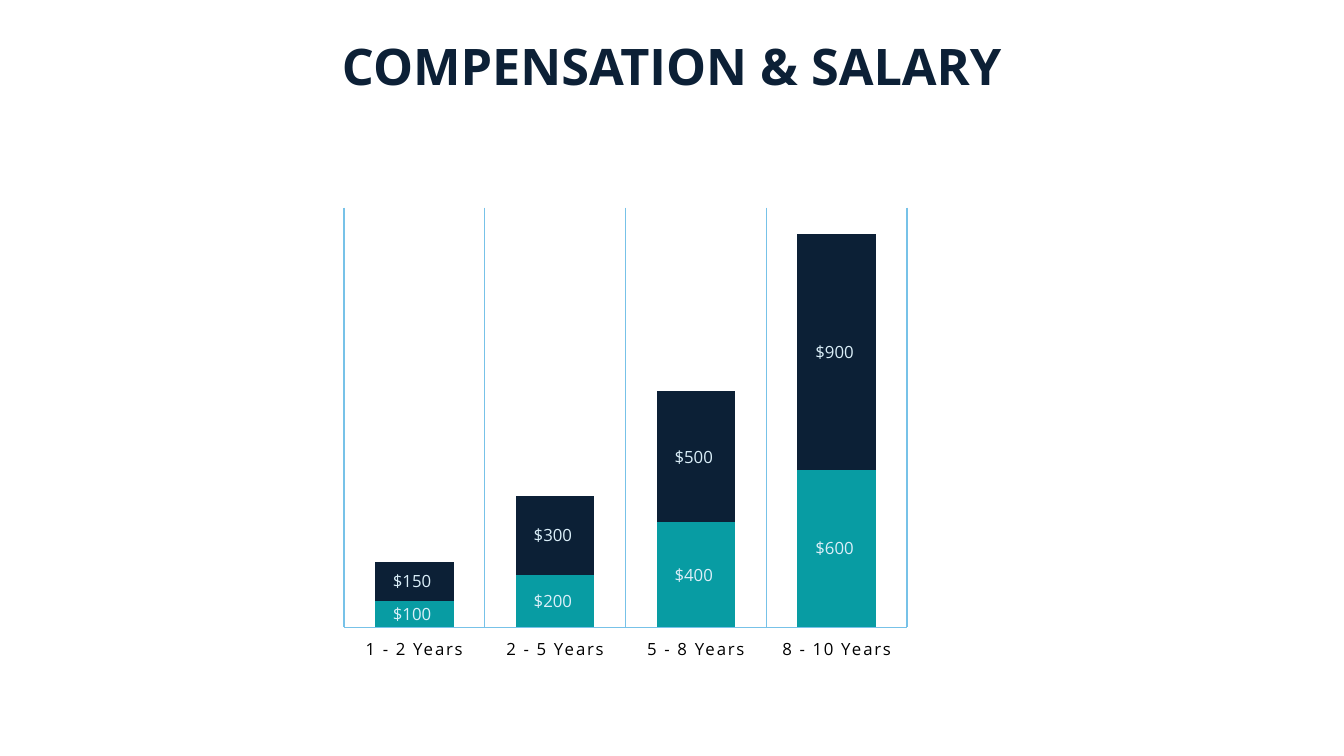
from dataclasses import dataclass

from lxml import etree
from pptx import Presentation
from pptx.chart.chart import Chart
from pptx.chart.data import CategoryChartData
from pptx.dml.color import RGBColor
from pptx.enum.chart import XL_CHART_TYPE, XL_LABEL_POSITION, XL_TICK_LABEL_POSITION, XL_TICK_MARK
from pptx.enum.text import MSO_ANCHOR, MSO_AUTO_SIZE, PP_ALIGN
from pptx.oxml import parse_xml
from pptx.oxml.ns import nsdecls, qn
from pptx.slide import Slide
from pptx.util import Emu, Pt

STACKED = XL_CHART_TYPE.COLUMN_STACKED
LABEL_CENTER = XL_LABEL_POSITION.CENTER
LABELS_LOW = XL_TICK_LABEL_POSITION.LOW
NO_TICKS = XL_TICK_MARK.NONE
TOP = MSO_ANCHOR.TOP
GROW = MSO_AUTO_SIZE.SHAPE_TO_FIT_TEXT
CENTER = PP_ALIGN.CENTER

EMU_PER_PX = 9525
FONT = "Open Sans"
NAVY, TEAL, SKY, PALE, BLACK = "0C2036", "089CA3", "77C2E8", "DBEFF9", "000000"
DOLLARS = r'"$"#,##0_);[Red]\("$"#,##0\)'
PLOT_AREA = {"x": 0.038, "y": 0, "w": 0.948, "h": 0.886}


@dataclass(frozen=True)
class Box:
    left: int
    top: int
    width: int
    height: int

    def emu(self) -> tuple[Emu, ...]:
        return tuple(px(value) for value in (self.left, self.top, self.width, self.height))


@dataclass(frozen=True)
class SalarySeries:
    name: str
    values: tuple[int, ...]
    fill: str


TITLE_BOX = Box(282, 29, 716, 68)
CHART_BOX = Box(306, 197, 566, 452)
CATEGORIES = ("1 - 2 Years", "2 - 5 Years", "5 - 8 Years", "8 - 10 Years")
SERIES = (
    SalarySeries("Series 1", (100, 200, 400, 600), TEAL),
    SalarySeries("Series 2", (150, 300, 500, 900), NAVY),
)


def px(value: int) -> Emu:
    return Emu(value * EMU_PER_PX)


def color(value: str) -> RGBColor:
    return RGBColor.from_string(value)


def set_format(target, values: dict) -> None:
    for name, value in values.items():
        setattr(target, name, value)


def set_font(font, size: int, fill: str, bold: bool = False) -> None:
    set_format(font, {"name": FONT, "size": Pt(size), "bold": bold})
    font.color.rgb = color(fill)


def set_line(line, width: float) -> None:
    line.color.rgb = color(SKY)
    line.width = Pt(width)


def add_title(slide: Slide, text: str) -> None:
    title = slide.shapes.title
    set_format(title, dict(zip(("left", "top", "width", "height"), TITLE_BOX.emu())))
    frame = title.text_frame
    frame.text = text
    set_format(frame, {"word_wrap": True, "auto_size": GROW, "vertical_anchor": TOP})
    paragraph = frame.paragraphs[0]
    set_format(paragraph, {"alignment": CENTER, "line_spacing": 1.0, "space_before": Pt(0)})
    set_font(paragraph.runs[0].font, 36, NAVY, bold=True)


def place_plot_area(chart: Chart) -> None:
    plot_area = chart.element.find(".//" + qn("c:plotArea"))
    for layout in plot_area.findall(qn("c:layout")):
        plot_area.remove(layout)
    layout = parse_xml(f"<c:layout {nsdecls('c')}><c:manualLayout/></c:layout>")
    settings = {"layoutTarget": "inner", "xMode": "edge", "yMode": "edge", **PLOT_AREA}
    for name, value in settings.items():
        etree.SubElement(layout[0], qn(f"c:{name}"), val=str(value))
    plot_area.insert(0, layout)


def format_axes(chart: Chart) -> None:
    category_axis = chart.category_axis
    set_format(category_axis, {
        "major_tick_mark": NO_TICKS, "minor_tick_mark": NO_TICKS,
        "tick_label_position": LABELS_LOW, "has_major_gridlines": True,
    })
    set_font(category_axis.tick_labels.font, 12, BLACK)
    set_line(category_axis.format.line, 0.75)
    set_line(category_axis.major_gridlines.format.line, 1)
    # Letter spacing of the category labels
    label_properties = chart.element.find(f".//{qn('c:catAx')}/{qn('c:txPr')}")
    label_properties.find(".//" + qn("a:defRPr")).set("spc", "120")

    value_axis = chart.value_axis
    set_format(value_axis, {
        "minimum_scale": 0, "maximum_scale": 1600,
        "has_major_gridlines": False, "visible": False,
    })
    set_format(value_axis.tick_labels, {
        "number_format": DOLLARS, "number_format_is_linked": False,
    })


def add_salary_chart(slide: Slide) -> None:
    data = CategoryChartData()
    data.categories = CATEGORIES
    for salary in SERIES:
        data.add_series(salary.name, salary.values)
    chart = slide.shapes.add_chart(STACKED, *CHART_BOX.emu(), data).chart
    set_format(chart, {"has_legend": False, "has_title": False})
    set_format(chart.font, {"name": "Calibri", "size": Pt(10)})
    chart.font.color.rgb = color(BLACK)

    plot = chart.plots[0]
    set_format(plot, {"gap_width": 79, "overlap": 100, "vary_by_categories": False})
    for series, salary in zip(plot.series, SERIES):
        series.format.fill.solid()
        series.format.fill.fore_color.rgb = color(salary.fill)
        labels = series.data_labels
        set_format(labels, {
            "show_value": True, "position": LABEL_CENTER,
            "number_format": DOLLARS, "number_format_is_linked": False,
        })
        set_font(labels.font, 12, PALE)

    format_axes(chart)
    place_plot_area(chart)


def main() -> None:
    presentation = Presentation()
    presentation.slide_width, presentation.slide_height = px(1280), px(720)
    slide = presentation.slides.add_slide(presentation.slide_layouts[5])
    add_title(slide, "COMPENSATION & SALARY")
    add_salary_chart(slide)
    presentation.save("out.pptx")


if __name__ == "__main__":
    main()
